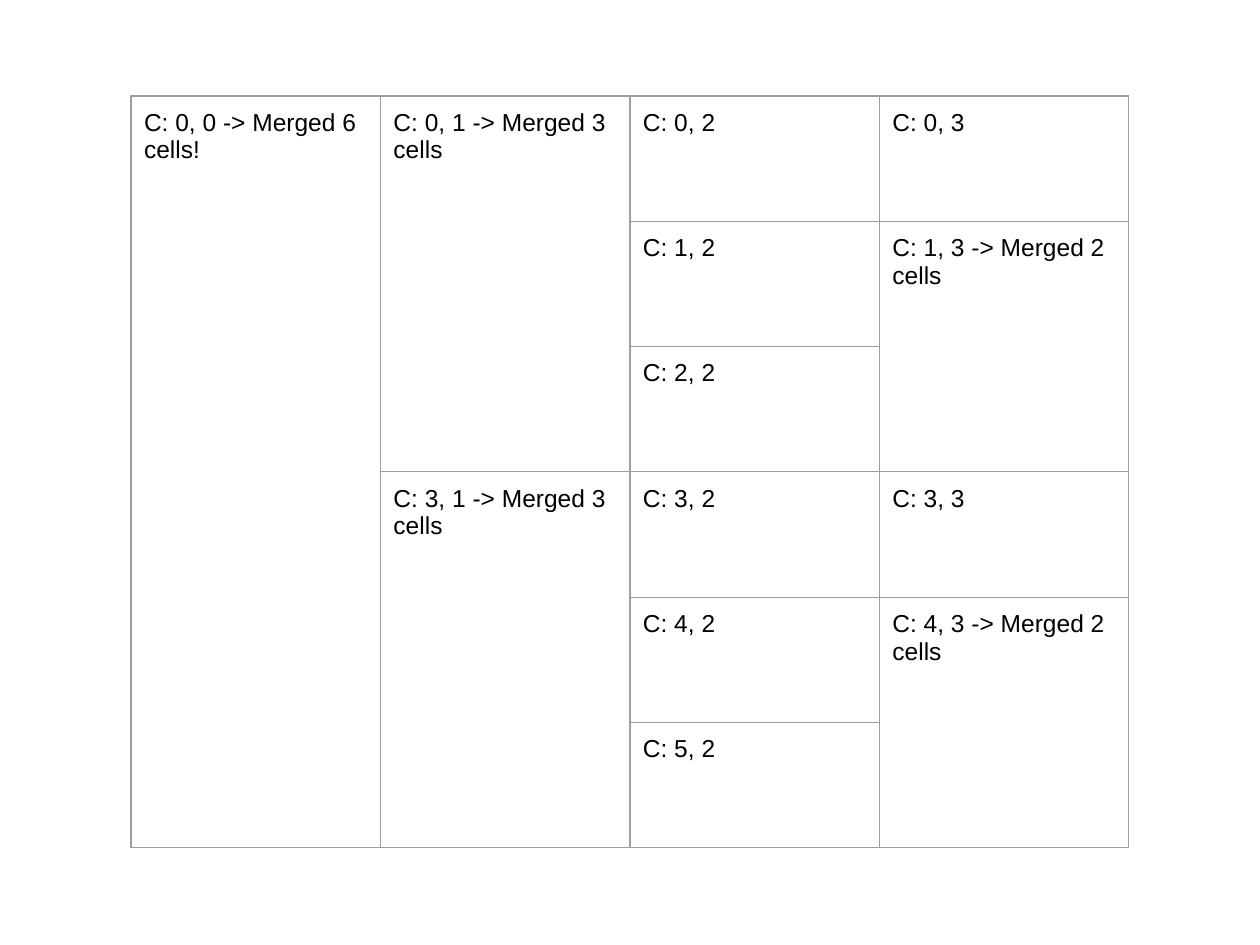
from lxml import etree
from pptx import Presentation
from pptx.dml.color import RGBColor
from pptx.enum.text import MSO_ANCHOR
from pptx.oxml.ns import qn
from pptx.util import Pt

TOP = MSO_ANCHOR.TOP
EMU_PER_PX = 914400 / 126
ROWS, COLS = 6, 4
SPANS = {(0, 0): 6, (0, 1): 3, (3, 1): 3, (1, 3): 2, (4, 3): 2}
ENDINGS = {6: " -> Merged 6 cells!", 3: " -> Merged 3 cells", 2: " -> Merged 2 cells"}


def px(n):
    return round(n * EMU_PER_PX)


def rgb(color):
    return RGBColor.from_string(color)


class Deck:
    font = "Arial"
    size = 14
    ink = "000000"
    rule = "9E9E9E"
    rule_width = 0.75
    pad = 13

    def __init__(self, width, height):
        self.prs = Presentation()
        self.prs.slide_width = px(width)
        self.prs.slide_height = px(height)
        self.s = self.prs.slides.add_slide(self.prs.slide_layouts[6])

    def borders(self, cell):
        tcPr = cell._tc.get_or_add_tcPr()
        for i, tag in enumerate(("a:lnL", "a:lnR", "a:lnT", "a:lnB")):
            ln = etree.Element(qn(tag), w=str(Pt(self.rule_width)))
            fill = etree.SubElement(ln, qn("a:solidFill"))
            etree.SubElement(fill, qn("a:srgbClr"), val=self.rule)
            tcPr.insert(i, ln)

    def text(self, cell, text):
        p = cell.text_frame.paragraphs[0]
        p.text = text
        p.font.name = self.font
        p.font.size = Pt(self.size)
        p.font.bold = False
        p.font.color.rgb = rgb(self.ink)

    def table(self, x, y, w, h, rows, cols, spans):
        frame = self.s.shapes.add_table(rows, cols, px(x), px(y), px(w), px(h))
        table = frame.table
        table.first_row = False
        table.horz_banding = False
        for (row, col), span in spans.items():
            table.cell(row, col).merge(table.cell(row + span - 1, col))
        for row in range(rows):
            for col in range(cols):
                cell = table.cell(row, col)
                cell.fill.background()
                cell.vertical_anchor = TOP
                cell.margin_left = cell.margin_right = px(self.pad)
                cell.margin_top = cell.margin_bottom = px(self.pad)
                self.borders(cell)
                if not cell.is_spanned:
                    ending = ENDINGS.get(spans.get((row, col)), "")
                    self.text(cell, f"C: {row}, {col}{ending}")


def main():
    deck = Deck(1260, 945)
    deck.table(131, 96, 998, 752, ROWS, COLS, SPANS)
    deck.prs.save("out.pptx")


if __name__ == "__main__":
    main()
